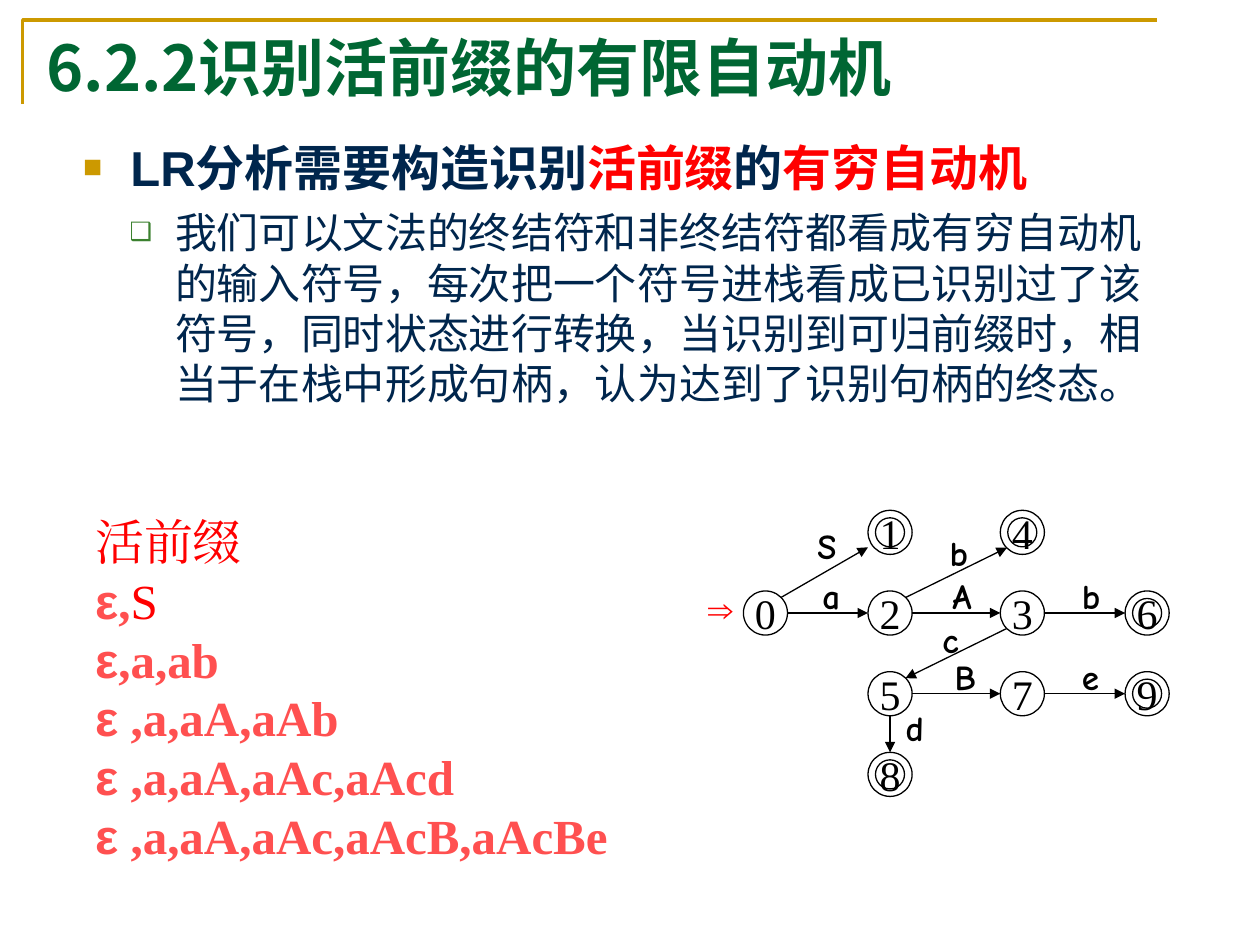
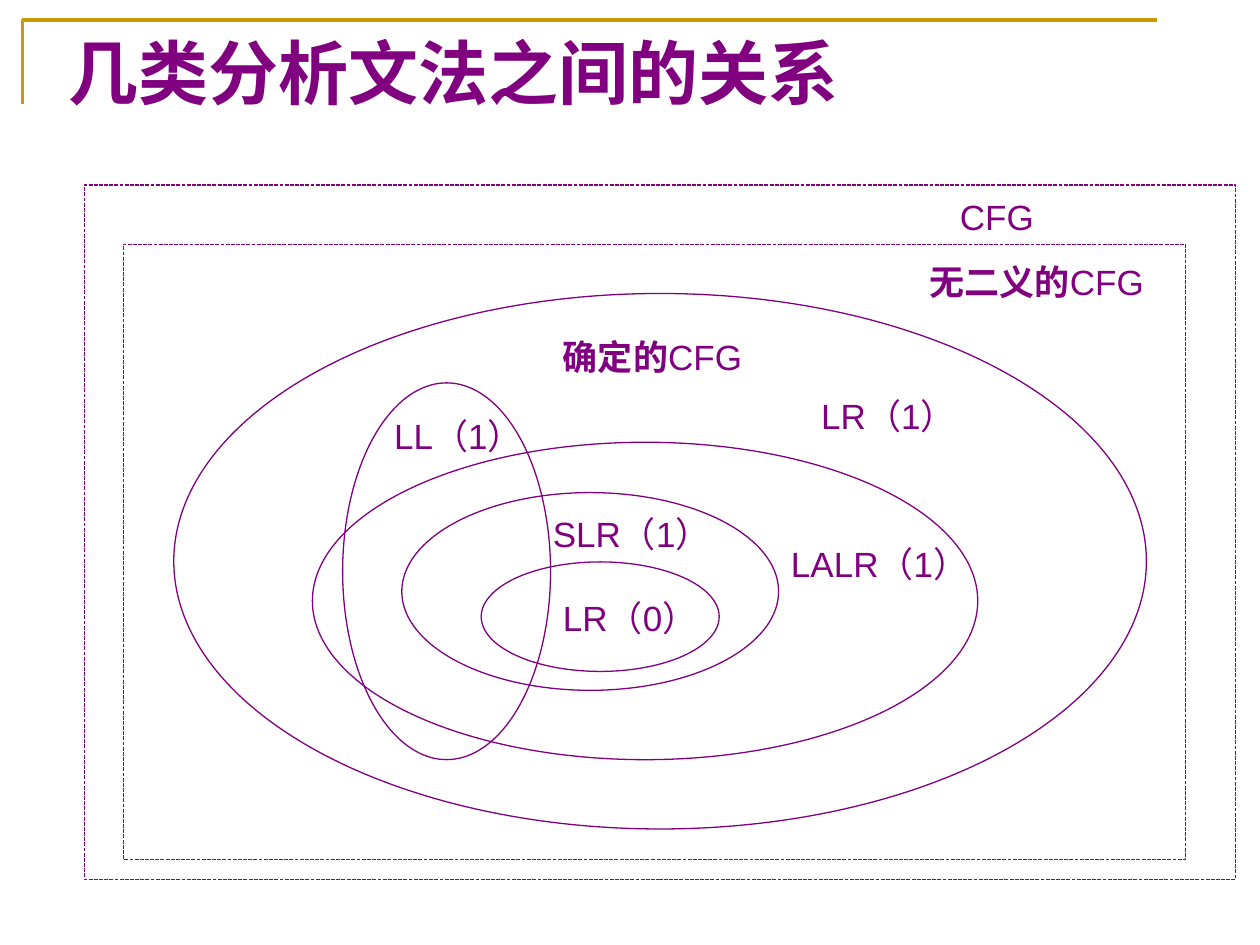
from lxml import etree
from pptx import Presentation
from pptx.dml.color import RGBColor
from pptx.enum.dml import MSO_LINE
from pptx.enum.shapes import MSO_CONNECTOR, MSO_SHAPE
from pptx.enum.text import MSO_ANCHOR, MSO_AUTO_SIZE, PP_ALIGN
from pptx.oxml.ns import qn
from pptx.util import Pt

GOLD = RGBColor(0xCC, 0x99, 0x00)
GREEN = RGBColor(0x00, 0x66, 0x33)
LEAF = RGBColor(0x3B, 0x81, 0x2F)
NAVY = RGBColor(0x00, 0x26, 0x4D)
RED = RGBColor(0xFF, 0x00, 0x00)
CORAL = RGBColor(0xFF, 0x50, 0x50)
PURPLE = RGBColor(0x80, 0x00, 0x80)
BLACK = RGBColor(0x00, 0x00, 0x00)

OVAL, RECTANGLE = MSO_SHAPE.OVAL, MSO_SHAPE.RECTANGLE
STRAIGHT = MSO_CONNECTOR.STRAIGHT
DOTTED = MSO_LINE.SQUARE_DOT
LEFT, CENTER = PP_ALIGN.LEFT, PP_ALIGN.CENTER
TOP, MIDDLE = MSO_ANCHOR.TOP, MSO_ANCHOR.MIDDLE
NO_FIT = MSO_AUTO_SIZE.NONE

SANS, SERIF, CJK, HAND = "Arial", "Times New Roman", "Noto Sans CJK SC", "Comic Neue"
TITLE_LAYOUT, LIST_LAYOUT = 5, 1
HAIRLINE = Pt(0.75)


def style(name, size, color, bold=False):
    """Return the format values of a run."""
    return {"name": name, "size": Pt(size), "bold": bold, "color": color}


def write(paragraph, *runs):
    """Add (text, style) runs to a paragraph."""
    for text, look in runs:
        run = paragraph.add_run()
        run.text = text
        for attribute, value in look.items():
            if attribute == "color":
                run.font.color.rgb = value
            else:
                setattr(run.font, attribute, value)
        east_asian = etree.SubElement(run.font._element, qn("a:ea"))
        east_asian.set("typeface", look["name"])


def place(shape, box):
    """Move a shape to a box given in points."""
    for attribute, value in zip(("left", "top", "width", "height"), box):
        setattr(shape, attribute, Pt(value))


def set_frame(shape, **values):
    """Apply format values to the text frame of a shape."""
    for attribute, value in {"auto_size": NO_FIT, "word_wrap": True, **values}.items():
        setattr(shape.text_frame, attribute, value)
    return shape.text_frame


def add_label(slide, box, *runs, wrap=True):
    """Add a text box with one paragraph."""
    label = slide.shapes.add_textbox(*map(Pt, box))
    write(set_frame(label, word_wrap=wrap).paragraphs[0], *runs)


def add_outline(slide, kind, box, color, dash=None):
    """Add an unfilled shape with a thin outline."""
    shape = slide.shapes.add_shape(kind, *map(Pt, box))
    shape.shadow.inherit = False
    shape.fill.background()
    shape.line.color.rgb = color
    shape.line.width = HAIRLINE
    if dash:
        shape.line.dash_style = dash
    return shape


def add_arrow(slide, start, end):
    """Add a thin black arrow between two points."""
    arrow = slide.shapes.add_connector(STRAIGHT, *map(Pt, (*start, *end)))
    arrow.line.color.rgb = BLACK
    arrow.line.width = HAIRLINE
    etree.SubElement(arrow.line._get_or_add_ln(), qn("a:tailEnd")).set("type", "triangle")
    etree.SubElement(arrow._element.spPr, qn("a:effectLst"))


def add_master_corner(prs, slide):
    """Put the gold corner line on the master, shared by all slides."""
    builder = slide.shapes.build_freeform(Pt(13), Pt(59.5))
    builder.add_line_segments([(Pt(13), Pt(11.5)), (Pt(661), Pt(11.5))], close=False)
    corner = builder.convert_to_shape()
    corner.shadow.inherit = False
    corner.fill.background()
    corner.line.color.rgb = GOLD
    corner.line.width = Pt(2)
    prs.slide_master.shapes.element.append(corner.element)


def set_title(slide, box, text, look, align, anchor, spacing=1.0):
    """Fill the title placeholder."""
    title = slide.shapes.title
    place(title, box)
    paragraph = set_frame(title, vertical_anchor=anchor).paragraphs[0]
    paragraph.alignment = align
    paragraph.line_spacing = spacing
    write(paragraph, (text, look))


def set_bullet(paragraph, char, color, percent, margin, indent, before):
    """Give a paragraph its bullet, indents and space before."""
    paragraph.space_before = Pt(before)
    properties = paragraph._p.get_or_add_pPr()
    properties.set("marL", str(Pt(margin)))
    properties.set("indent", str(Pt(indent)))
    tint = etree.SubElement(properties, qn("a:buClr"))
    etree.SubElement(tint, qn("a:srgbClr")).set("val", str(color))
    etree.SubElement(properties, qn("a:buSzPct")).set("val", str(percent * 1000))
    etree.SubElement(properties, qn("a:buFont")).set("typeface", SANS)
    etree.SubElement(properties, qn("a:buChar")).set("char", char)


def fill_explanation(slide, box):
    """Fill the body placeholder with the claim and its explanation."""
    body = slide.placeholders[1]
    place(body, box)
    frame = set_frame(body, vertical_anchor=TOP)
    plain, marked = style(SANS, 28, NAVY, True), style(SANS, 28, RED, True)
    claim = frame.paragraphs[0]
    set_bullet(claim, "■", GOLD, 65, 27, -27, 7)
    write(claim, ("LR分析需要构造识别", plain), ("活前缀", marked),
          ("的", plain), ("有穷自动机", marked))
    detail = frame.add_paragraph()
    detail.level = 1
    set_bullet(detail, "❑", LEAF, 60, 52.5, -26, 6)
    write(detail, ("我们可以文法的终结符和非终结符都看成有穷自动机的输入符号，"
                   "每次把一个符号进栈看成已识别过了该符号，同时状态进行转换，"
                   "当识别到可归前缀时，相当于在栈中形成句柄，认为达到了识别句柄的终态。",
                   style(SANS, 24, NAVY)))


def add_prefixes(slide, box):
    """List the viable prefixes."""
    frame = set_frame(slide.shapes.add_textbox(*map(Pt, box)))
    heading, strong = style(SERIF, 28, RED), style(SERIF, 28, CORAL, True)
    epsilon = style(SANS, 28, CORAL, True)
    write(frame.paragraphs[0], (" 活前缀", heading))
    rows = [((",", strong), ("S", heading))]
    rows += [((rest, strong),) for rest in (
        ",a,ab", " ,a,aA,aAb", " ,a,aA,aAc,aAcd", " ,a,aA,aAc,aAcB,aAcBe")]
    for row in rows:
        write(frame.add_paragraph(), (" ", strong), ("ε", epsilon), *row)


def add_automaton(slide, left, top):
    """Draw the automaton that recognises the viable prefixes."""
    diameter, ring, row_step = 25.2, 4.3, 46.1
    columns = (27.4, 98.6, 174.2, 245.5)
    cells = {"0": (0, 1), "1": (1, 0), "4": (2, 0), "2": (1, 1), "3": (2, 1),
             "5": (1, 2), "7": (2, 2), "6": (3, 1), "9": (3, 2), "8": (1, 3)}
    accepting = "14698"
    east, west, south, north = (1, 0), (-1, 0), (0, 1), (0, -1)
    northeast, southwest, low_west = (0.7, -0.7), (-0.7, 0.7), (-1, 0.68)
    edges = [("0", east, "2", west, "a", 65.5, 33), ("2", east, "3", west, "A", 139.7, 33),
             ("3", east, "6", west, "b", 213.8, 33), ("5", east, "7", west, "B", 141, 79.2),
             ("7", east, "9", west, "e", 213.8, 79.2),
             ("0", northeast, "1", low_west, "S", 62.6, 4.3),
             ("2", northeast, "4", southwest, "b", 138.2, 8.6),
             ("3", southwest, "5", northeast, "c", 134, 58.3),
             ("5", south, "8", north, "d", 113, 108.7)]

    def corner(state):
        column, row = cells[state]
        return left + columns[column], top + row * row_step

    def rim(state, direction):
        return [start + diameter / 2 * (1 + part)
                for start, part in zip(corner(state), direction)]

    for state in cells:
        x, y = corner(state)
        circle = add_outline(slide, OVAL, (x, y, diameter, diameter), BLACK)
        paragraph = set_frame(circle, word_wrap=False, vertical_anchor=MIDDLE).paragraphs[0]
        paragraph.alignment = CENTER
        write(paragraph, (state, style(SERIF, 24, BLACK)))
        if state in accepting:
            inner = diameter - 2 * ring
            add_outline(slide, OVAL, (x + ring, y + ring, inner, inner), BLACK)
    for source, leaving, target, entering, symbol, x, y in edges:
        add_arrow(slide, rim(source, leaving), rim(target, entering))
        add_label(slide, (left + x, top + y, 25, 31.7),
                  (symbol, style(HAND, 20, BLACK, True)), wrap=False)
    add_label(slide, (left, top + 40.3, 30.2, 31.7),
              ("⇒", style(SANS, 20, RED, True)), wrap=False)


def add_grammar_map(slide, left, top):
    """Draw the nested grammar classes and their names."""
    plain, strong = style(SANS, 20, PURPLE), style(SANS, 20, PURPLE, True)
    ovals = [(226.8, 215.3, 136, 62.6), (181.4, 175.7, 215.3, 113),
             (130.3, 146.9, 380.2, 181.4), (51.1, 61.9, 555.8, 306),
             (147.6, 113, 118.8, 215.3)]
    frames = [(22.3, 33.8, 607, 351.4), (0, 0, 658, 396.7)]
    names = [("", "LR（0）", 266.4, 231.8, 96.5), ("", "SLR（1）", 260.6, 183.6, 108),
             ("", "LALR（1）", 396.7, 200.9, 118.8), ("", "LR（1）", 414, 115.9, 102.2),
             ("", "LL（1）", 169.9, 127.4, 102.2), ("确定的", "CFG", 266.4, 82.1, 130.3),
             ("无二义的", "CFG", 475.9, 39.6, 147.6), ("", "CFG", 493.2, 2.2, 147.6)]
    for kind, boxes, dash in ((OVAL, ovals, None), (RECTANGLE, frames, DOTTED)):
        for x, y, width, height in boxes:
            add_outline(slide, kind, (left + x, top + y, width, height), PURPLE, dash)
    for modifier, name, x, y, width in names:
        runs = [(modifier, strong)] if modifier else []
        add_label(slide, (left + x, top + y, width, 31.7), *runs, (name, plain))


def build_automaton_slide(slide):
    """Build the slide on the automaton for viable prefixes."""
    set_title(slide, (19.4, 15.1, 624.2, 46.1), "6.2.2识别活前缀的有限自动机",
              style(CJK, 36, GREEN, True), LEFT, MIDDLE)
    fill_explanation(slide, (40.3, 74.9, 638.6, 174.2))
    add_prefixes(slide, (40.3, 288.7, 328.3, 208.8))
    add_automaton(slide, 397.4, 291.6)


def build_grammar_slide(slide):
    """Build the slide on how the grammar classes relate."""
    set_title(slide, (26.6, 18.7, 465.1, 50.4), "几类分析文法之间的关系",
              style(SANS, 40, PURPLE, True), CENTER, TOP, 0.9)
    add_grammar_map(slide, 48.2, 105.8)


def main():
    """Build and save the presentation."""
    prs = Presentation()
    prs.slide_width, prs.slide_height = Pt(720), Pt(540)
    automaton_slide = prs.slides.add_slide(prs.slide_layouts[LIST_LAYOUT])
    grammar_slide = prs.slides.add_slide(prs.slide_layouts[TITLE_LAYOUT])
    add_master_corner(prs, automaton_slide)
    build_automaton_slide(automaton_slide)
    build_grammar_slide(grammar_slide)
    prs.save("out.pptx")


if __name__ == "__main__":
    main()
